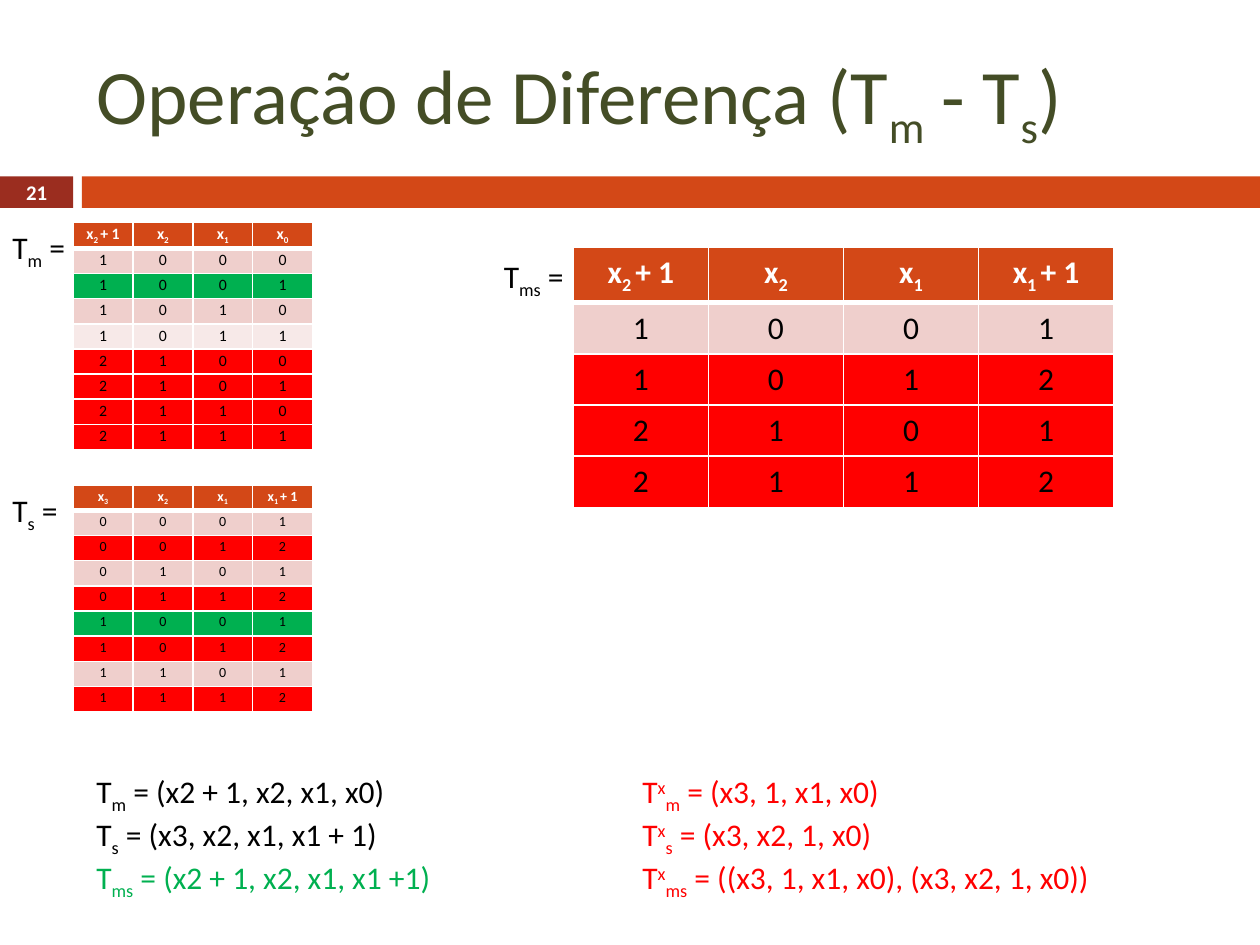
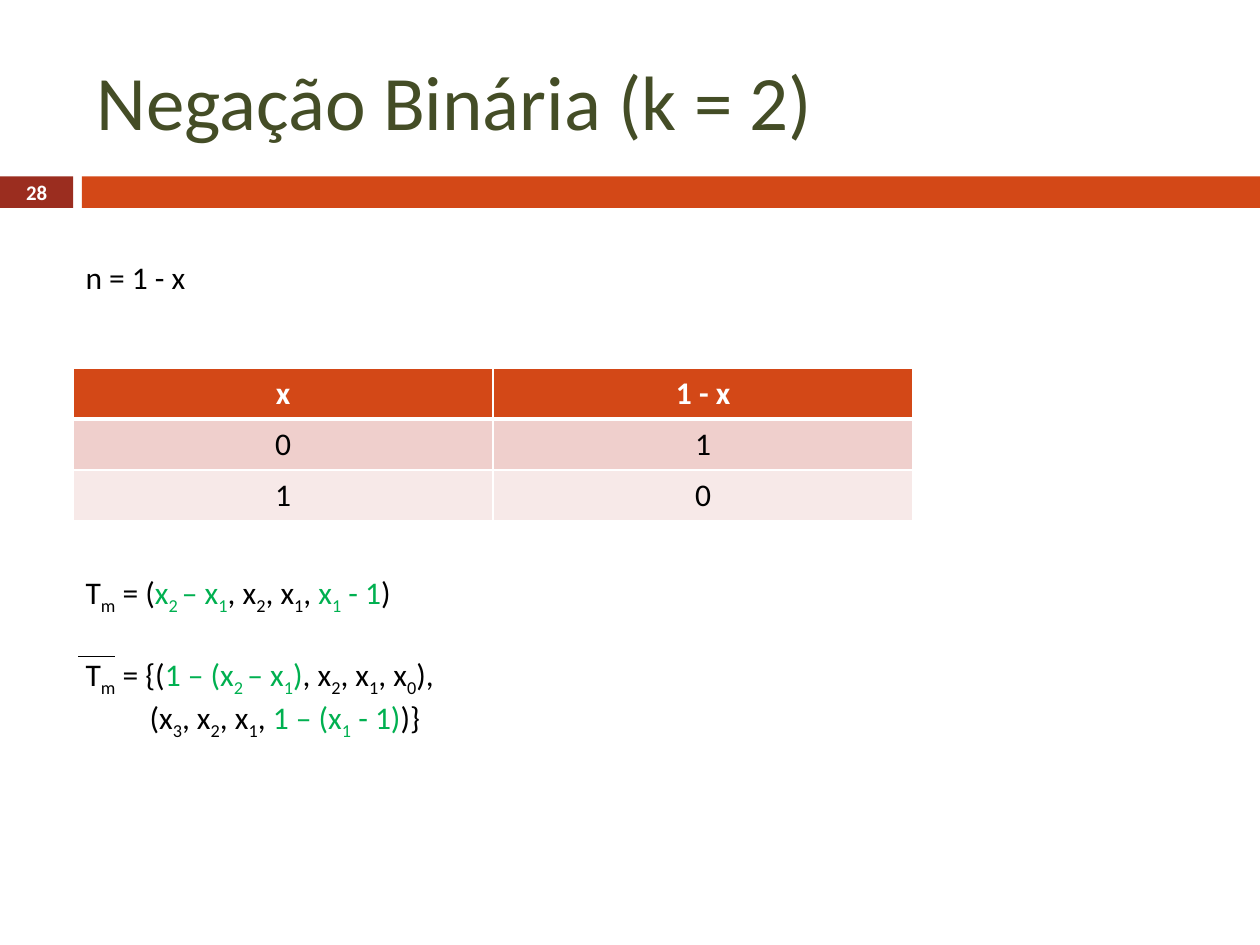
import pptx
import pptx.dml.color
import pptx.enum.shapes
import pptx.enum.text
import pptx.oxml
import pptx.oxml.ns
import pptx.util

Pt = pptx.util.Pt
Align = pptx.enum.text.PP_ALIGN
Anchor = pptx.enum.text.MSO_ANCHOR
FONT = "Calibri"
WHITE, BLACK, GREEN, RED = "FFFFFF", "000000", "00B050", "FF0000"
ORANGE, BRICK, OLIVE = "D34817", "9B2D1F", "444D26"
ROW_FILLS = {"d": "EFCFCC", "l": "F7E9E8", "g": GREEN, "r": RED}
BASELINES = {"_": "-25000", "^": "30000"}
BAND_TOP, BAND_HEIGHT, NUMBER_WIDTH, BAND_LEFT = 100.8, 18, 41.8, 46.8
PAGE_WIDTH, PAGE_HEIGHT = 720, 540


def color(hex_text):
    return pptx.dml.color.RGBColor.from_string(hex_text)


def points(*lengths):
    return [Pt(length) for length in lengths]


def paint(target, hex_text):
    target.fill.solid()
    target.fill.fore_color.rgb = color(hex_text)


def write(para, formula, size, hex_text, bold=False):
    """Pieces split at |; _ lowers, ^ raises, ~ switches green on or off."""
    ink = hex_text
    for piece in formula.split("|"):
        if piece == "~":
            ink = hex_text if ink == GREEN else GREEN
            continue
        span = para.add_run()
        span.text = piece.lstrip("_^")
        span.font.name = FONT
        span.font.size = Pt(size)
        span.font.bold = bold
        span.font.color.rgb = color(ink)
        if piece[0] in BASELINES:
            span.font._element.set("baseline", BASELINES[piece[0]])


def add_text(page, box, lines, ink=BLACK, wrap=False):
    area = page.shapes.add_textbox(*points(*box))
    frame = area.text_frame
    frame.word_wrap = wrap
    frame.auto_size = pptx.enum.text.MSO_AUTO_SIZE.SHAPE_TO_FIT_TEXT
    for index, line in enumerate(lines):
        para = frame.paragraphs[0] if index == 0 else frame.add_paragraph()
        write(para, line, 18, ink)
    return frame


def set_borders(cell, is_header):
    properties = cell._tc.get_or_add_tcPr()
    for index, side in enumerate("LRTB"):
        width = Pt(3 if is_header and side == "B" else 1)
        properties.insert(index, pptx.oxml.parse_xml(
            f'<a:ln{side} {pptx.oxml.ns.nsdecls("a")} w="{width}"><a:solidFill>'
            f'<a:srgbClr val="{WHITE}"/></a:solidFill></a:ln{side}>'))


def add_truth_table(page, box, header, rows, fills, size=18, insets=None):
    values = [header] + [list(row) for row in rows]
    shades = [ORANGE] + [ROW_FILLS[key] for key in fills]
    table = page.shapes.add_table(len(values), len(header), *points(*box)).table
    table.horz_banding = False
    for column in table.columns:
        column.width = Pt(box[2] / len(header))
    for row_index, (row, shade) in enumerate(zip(values, shades)):
        is_header = row_index == 0
        table.rows[row_index].height = Pt(box[3] / len(values))
        for column_index, value in enumerate(row):
            cell = table.cell(row_index, column_index)
            paint(cell, shade)
            set_borders(cell, is_header)
            if insets:
                cell.margin_left = cell.margin_right = Pt(insets[0])
                cell.margin_top = cell.margin_bottom = Pt(insets[1])
            para = cell.text_frame.paragraphs[0]
            para.alignment = Align.CENTER
            write(para, value, size, WHITE if is_header else BLACK, is_header)


def prepare_layout(deck, page):
    layout = deck.slide_layouts.get_by_name("Title Only")
    title = layout.placeholders[0]
    title.left, title.top, title.width, title.height = points(48, 18, 642, 78)
    for left, width, shade in ((0, NUMBER_WIDTH, BRICK),
                               (BAND_LEFT, PAGE_WIDTH - BAND_LEFT, ORANGE)):
        band = page.shapes.add_shape(
            pptx.enum.shapes.MSO_SHAPE.RECTANGLE,
            *points(left, BAND_TOP, width, BAND_HEIGHT))
        band.shadow.inherit = False
        paint(band, shade)
        band.line.fill.background()
        layout.shapes.element.append(band.element)


def add_heading(page, title, number):
    frame = page.shapes.title.text_frame
    frame.vertical_anchor = Anchor.MIDDLE
    frame.paragraphs[0].alignment = Align.LEFT
    write(frame.paragraphs[0], title, 44, OLIVE)
    area = page.shapes.add_textbox(
        *points(0, BAND_TOP - 0.7, NUMBER_WIDTH, BAND_HEIGHT + 1.4))
    area.text_frame.word_wrap = True
    area.text_frame.vertical_anchor = Anchor.MIDDLE
    para = area.text_frame.paragraphs[0]
    para.alignment = Align.CENTER
    write(para, number, 11.9, WHITE, True)


def add_operands(page, left, top):
    tm_rows = ["1000", "1001", "1010", "1011", "2100", "2101", "2110", "2111"]
    ts_rows = ["0001", "0012", "0101", "0112", "1001", "1012", "1101", "1112"]
    operands = (
        ("T|_m| =", 46.8, ["x|_2 |+ 1", "x|_2", "x|_1", "x|_0"],
         tm_rows, "dgdlrrrr", 9),
        ("T|_s| =", 42.5, ["x|_3", "x|_2", "x|_1", "x|_1 |+ 1"],
         ts_rows, "drdrgrdr", 8))
    for index, (label, width, header, rows, fills, size) in enumerate(operands):
        y = top + index * 150.5
        add_truth_table(page, (left + NUMBER_WIDTH, y, 136.8, 129.6),
                        header, rows, fills, size, (2.9, 1.4))
        add_text(page, (left, y, width, 29), [label])


def add_result(page, left, top):
    add_truth_table(page, (left + 46.8, top, 308.8, 146.2),
                    ["x|_2 |+ 1", "x|_2", "x|_1", "x|_1 |+ 1"],
                    ["1001", "1012", "2101", "2112"], "drrr")
    add_text(page, (left, top + 2.2, 51.1, 29), ["T|_ms| ="])


def add_templates(page, left, top):
    add_text(page, (left, top, 234.7, 94.3), [
        "T|_m| = (x2 + 1, x2, x1, x0)",
        "T|_s| = (x3, x2, x1, x1 + 1)",
        "~|T|_ms| = (x2 + 1, x2, x1, x1 +1)"])
    add_text(page, (left + 312, top, 290.2, 72.7), [
        "T|^x|_m| = (x3, 1, x1, x0)",
        "T|^x|_s| = (x3, x2, 1, x0)",
        "T|^x|_ms| = ((x3, 1, x1, x0), (x3, x2, 1, x0))"], RED)


def add_negated_templates(page, left, top):
    frame = add_text(page, (left, top, 232.6, 138.2), [
        "T|_m| = (|~|x|_2 |– x|_1|~|, x|_2|, x|_1|, |~|x|_1| - 1|~|)",
        "T|_m| = {(|~|1 – (x|_2 |– x|_1|)|~|, x|_2|, x|_1|, x|_0|),",
        "(x|_3|, x|_2|, x|_1|, |~|1 – (x|_1| - 1)|~|)}"])
    frame.paragraphs[1].space_before = Pt(22)
    frame.paragraphs[2]._p.get_or_add_pPr().set("marL", str(Pt(36.6)))
    overline = page.shapes.add_connector(
        pptx.enum.shapes.MSO_CONNECTOR.STRAIGHT,
        *points(left + 3, top + 51, left + 24, top + 51))
    overline.line.color.rgb = color(BLACK)
    overline.line.width = Pt(0.79)
    overline.element.spPr.append(pptx.oxml.parse_xml(
        f'<a:effectLst {pptx.oxml.ns.nsdecls("a")}/>'))


def build_difference(page):
    add_heading(page, "Operação de Diferença (T|_m| - T|_s|)", "21")
    add_result(page, 280.8, 141.2)
    add_operands(page, 0, 126.8)
    add_templates(page, 48, 437.8)


def build_negation(page):
    add_heading(page, "Negação Binária (k = 2)", "28")
    add_text(page, (NUMBER_WIDTH, 144, 360, 94.3), ["n = 1 - x"], wrap=True)
    add_truth_table(page, (NUMBER_WIDTH, 210.2, 480, 87.6),
                    ["x", "1 - x"], ["01", "10"], "dl")
    add_negated_templates(page, NUMBER_WIDTH, 324)


def main():
    deck = pptx.Presentation()
    deck.slide_width, deck.slide_height = points(PAGE_WIDTH, PAGE_HEIGHT)
    layout = deck.slide_layouts.get_by_name("Title Only")
    pages = [deck.slides.add_slide(layout) for _ in range(2)]
    prepare_layout(deck, pages[0])
    build_difference(pages[0])
    build_negation(pages[1])
    deck.save("out.pptx")


if __name__ == "__main__":
    main()
